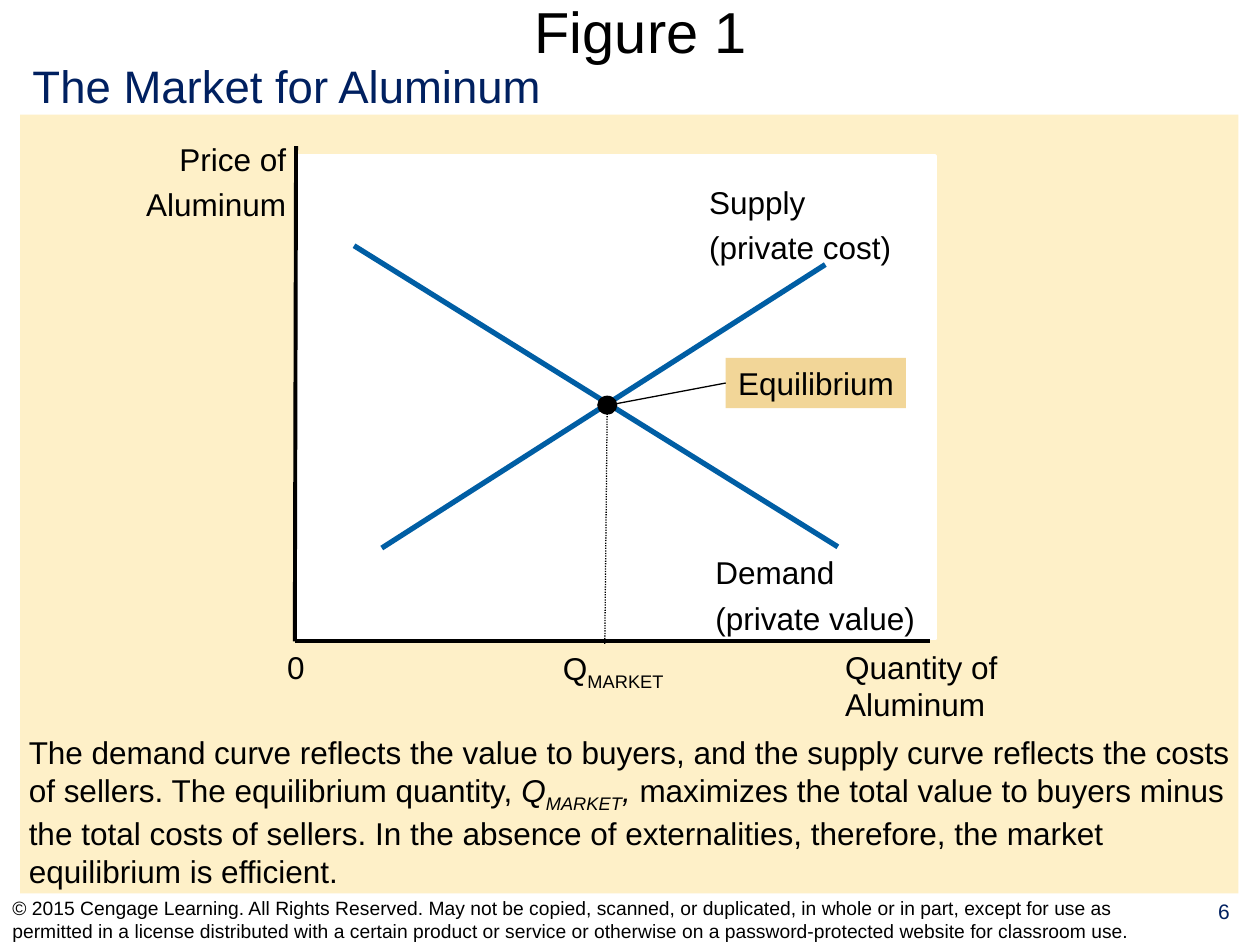
from collections import namedtuple
from lxml import etree
from pptx import Presentation
from pptx.dml.color import RGBColor
from pptx.enum.dml import MSO_LINE_DASH_STYLE as Dash
from pptx.enum.shapes import MSO_CONNECTOR as Connector, MSO_SHAPE as Shape
from pptx.enum.text import MSO_ANCHOR as Anchor, PP_ALIGN as Align
from pptx.oxml.ns import qn
from pptx.util import Inches, Pt

BLACK = RGBColor(0x00, 0x00, 0x00)
WHITE = RGBColor(0xFF, 0xFF, 0xFF)
NAVY = RGBColor(0x00, 0x20, 0x60)
BLUE = RGBColor(0x00, 0x5E, 0xA4)
CREAM = RGBColor(0xFE, 0xF0, 0xC8)
SAND = RGBColor(0xF2, 0xD6, 0x98)

Box = namedtuple("Box", "left top width height")
SUBSCRIPT = {"baseline": "-25000"}
ITALIC = {"i": "1"}
MARKET_QUANTITY = [("Q", {}), ("MARKET", SUBSCRIPT)]


def inside(box, left, top, width, height):
    return Box(box.left + left, box.top + top, width, height)


def write(frame, paragraphs, size=18, color=BLACK, align=Align.LEFT,
          wrap=True, anchor=Anchor.TOP):
    frame.word_wrap = wrap
    frame.vertical_anchor = anchor
    font_format = {"name": "Arial", "size": Pt(size)}
    for index, spans in enumerate(paragraphs):
        para = frame.add_paragraph() if index else frame.paragraphs[0]
        para.alignment = align
        if index:
            para.space_before = Pt(4.5)
        for text, attributes in spans:
            span = para.add_run()
            span.text = text
            for name, value in font_format.items():
                setattr(span.font, name, value)
            span.font.color.rgb = color
            for name, value in attributes.items():
                span._r.get_or_add_rPr().set(name, value)


def plain(*lines):
    return [[(line, {})] for line in lines]


def add_text(page, box, paragraphs, **options):
    label = page.shapes.add_textbox(*map(Inches, box))
    write(label.text_frame, paragraphs, **options)
    return label


def add_filled(page, kind, box, color):
    shape = page.shapes.add_shape(kind, *map(Inches, box))
    shape.shadow.inherit = False
    shape.fill.solid()
    shape.fill.fore_color.rgb = color
    shape.line.fill.background()
    return shape


def add_line(page, box, start, end, color=BLACK, width=0.75, dash=None):
    points = [(box.left + x, box.top + y) for x, y in (start, end)]
    line = page.shapes.add_connector(
        Connector.STRAIGHT, *(Inches(value) for point in points for value in point))
    line.line.color.rgb = color
    line.line.width = Pt(width)
    if dash:
        line.line.dash_style = dash
    etree.SubElement(line._element.spPr, qn("a:effectLst"))
    return line


def add_header(page, box):
    title = add_text(page, inside(box, 0.19, 0, 9.47, 0.49), plain("Figure 1"),
                     size=33, align=Align.CENTER, anchor=Anchor.MIDDLE)
    for side in ("left", "top", "right", "bottom"):
        setattr(title.text_frame, f"margin_{side}", 0)
    add_text(page, inside(box, 0, 0.41, 4.26, 0.54),
             plain("The Market for Aluminum"), size=26, color=NAVY, wrap=False)


def add_axes(page, box):
    plot = add_filled(page, Shape.RECTANGLE, inside(box, 0.02, 0.08, 5.06, 3.83), WHITE)
    plot.line.color.rgb = WHITE
    plot.line.width = Pt(2)
    origin = (0, box.height)
    for end in ((0.01, 0), (box.width, box.height)):
        add_line(page, box, end, origin, width=2.25)
    add_text(page, inside(box, -1.52, -0.1, 1.55, 0.77),
             plain("Price of", "Aluminum"), align=Align.RIGHT)
    add_text(page, inside(box, 4.27, box.height, 1.69, 0.7),
             plain("Quantity of Aluminum"))
    add_text(page, inside(box, -0.16, box.height, 0.34, 0.4), plain("0"), wrap=False)


def add_curves(page, box):
    curves = [
        ((0.47, 0.79), (4.31, 3.18), (3.24, 3.18, 1.95, 0.77), "Demand", "(private value)"),
        ((0.69, 3.19), (4.21, 0.94), (3.19, 0.24, 1.95, 0.77), "Supply", "(private cost)"),
    ]
    for start, end, place, name, meaning in curves:
        add_line(page, box, start, end, color=BLUE, width=3)
        add_text(page, inside(box, *place), plain(name, meaning))


def add_equilibrium(page, box):
    add_filled(page, Shape.OVAL, inside(box, 2.4, 1.98, 0.16, 0.15), BLACK)
    add_line(page, box, (2.48, 2.02), (2.46, 3.95), dash=Dash.ROUND_DOT)
    add_text(page, inside(box, 2.03, 3.94, 1, 0.44), [MARKET_QUANTITY], wrap=False)
    label = add_filled(page, Shape.RECTANGLE, inside(box, 3.42, 1.68, 1.43, 0.4), SAND)
    write(label.text_frame, plain("Equilibrium"), wrap=False)
    pointer = add_line(page, box, (2.52, 2.05), (3.42, 1.88))
    pointer.end_connect(label, 1)


def add_graph(page, box):
    add_axes(page, box)
    add_curves(page, box)
    add_equilibrium(page, box)


def add_caption(page, box):
    add_text(page, box, [[
        ("The demand curve reflects the value to buyers, and the supply curve reflects "
         "the costs of sellers. The equilibrium quantity, ", {}),
        *[(text, {**ITALIC, **attributes}) for text, attributes in MARKET_QUANTITY],
        (", ", ITALIC),
        ("maximizes the total value to buyers minus the total costs of sellers. In the "
         "absence of externalities, therefore, the market equilibrium is efficient.", {}),
    ]])


def add_footer(page, box):
    add_text(page, inside(box, 9.43, 0, 0.57, 0.4), plain("6"),
             size=12, color=NAVY, align=Align.CENTER)
    add_text(page, inside(box, 0, 0.02, 9.42, 0.4), plain(
        "© 2015 Cengage Learning. All Rights Reserved. May not be copied, scanned, or "
        "duplicated, in whole or in part, except for use as permitted in a license "
        "distributed with a certain product or service or otherwise on a "
        "password-protected website for classroom use."),
        size=11, anchor=Anchor.MIDDLE)


def main():
    deck = Presentation()
    deck.slide_width = Inches(10)
    deck.slide_height = Inches(7.5)
    page = deck.slides.add_slide(deck.slide_layouts[6])
    add_filled(page, Shape.RECTANGLE, Box(0.16, 0.91, 9.67, 6.18), CREAM)
    add_header(page, Box(0.16, 0, 9.67, 0.95))
    add_graph(page, Box(2.34, 1.16, 5.04, 3.93))
    add_caption(page, Box(0.13, 5.77, 9.78, 1.34))
    add_footer(page, Box(0, 7.08, 10, 0.42))
    deck.save("out.pptx")


if __name__ == "__main__":
    main()
